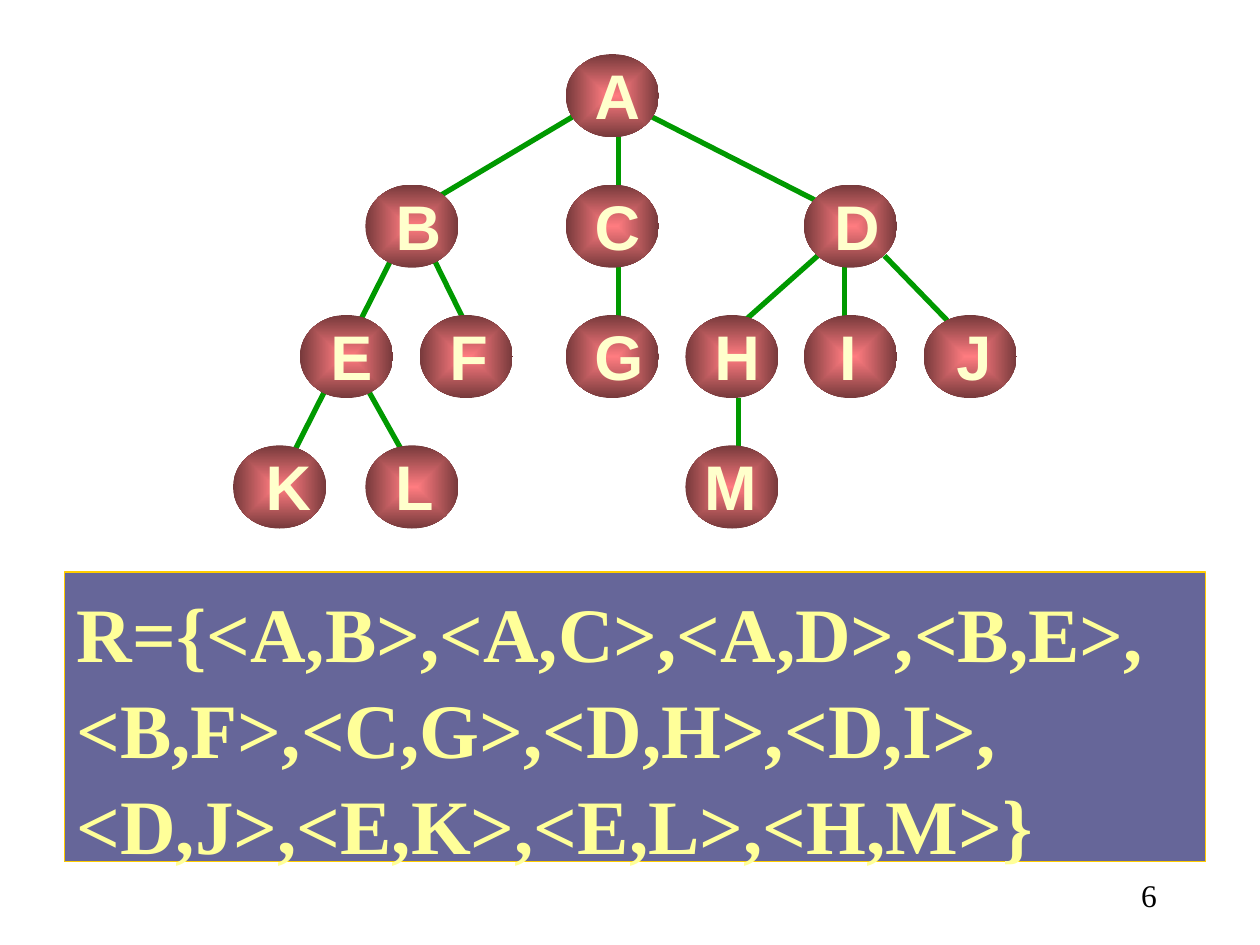
"""Build a slide showing a tree and its parent-child relation."""
from typing import NamedTuple

from lxml.etree import SubElement
from pptx import Presentation
from pptx.dml.color import RGBColor
from pptx.enum.shapes import MSO_CONNECTOR, MSO_SHAPE
from pptx.enum.text import MSO_ANCHOR, PP_ALIGN
from pptx.oxml.ns import qn
from pptx.slide import Slide
from pptx.text.text import TextFrame
from pptx.util import Inches, Pt

BLACK = RGBColor(0x00, 0x00, 0x00)
GREEN = RGBColor(0x00, 0x99, 0x00)
ROSE = RGBColor(0xFF, 0x7C, 0x80)
MAROON = RGBColor(0x76, 0x39, 0x3B)
CREAM = RGBColor(0xFF, 0xFF, 0xCC)
YELLOW = RGBColor(0xFF, 0xFF, 0x99)
SLATE = RGBColor(0x66, 0x66, 0x99)
GOLD = RGBColor(0xFF, 0xCC, 0x00)

NODE_WIDTH, NODE_HEIGHT = 0.74, 0.66
FIRST_LEVEL_TOP, LEVEL_STEP = 0.43, 1.035
LABEL_WIDTH, LABEL_HEIGHT, LABEL_RISE = 0.56, 0.7, 0.03


class Node(NamedTuple):
    letter: str
    level: int
    left: float
    label_shift: float = 0.04


class Branch(NamedTuple):
    start_x: float
    start_y: float
    end_x: float
    end_y: float


class TextStyle(NamedTuple):
    font: str
    size: int
    color: RGBColor
    bold: bool
    alignment: PP_ALIGN


NODE_STYLE = TextStyle("Arial", 36, CREAM, True, PP_ALIGN.CENTER)
RELATION_STYLE = TextStyle("Times New Roman", 44, YELLOW, True, PP_ALIGN.LEFT)
NUMBER_STYLE = TextStyle("Times New Roman", 18, BLACK, False, PP_ALIGN.RIGHT)

NODES = [
    Node("A", 0, 4.49),
    Node("B", 1, 2.9, 0.05),
    Node("C", 1, 4.49),
    Node("D", 1, 6.38, 0.05),
    Node("E", 2, 2.38),
    Node("F", 2, 3.33, 0.02),
    Node("G", 2, 4.49),
    Node("H", 2, 5.44),
    Node("I", 2, 6.38, -0.02),
    Node("J", 2, 7.33, 0.03),
    Node("K", 3, 1.85, 0.07),
    Node("L", 3, 2.9, 0.02),
    Node("M", 3, 5.44, -0.04),
]

BRANCHES = [
    Branch(7.02, 2.03, 7.65, 2.68),
    Branch(6.49, 2.03, 5.86, 2.59),
    Branch(6.7, 2.12, 6.7, 2.59),
    Branch(5.86, 3.16, 5.86, 3.72),
    Branch(5.12, 0.9, 6.59, 1.65),
    Branch(4.59, 0.9, 3.33, 1.65),
    Branch(4.91, 0.99, 4.91, 3.15),
    Branch(3.43, 2.03, 3.75, 2.68),
    Branch(2.9, 3.06, 3.22, 3.63),
    Branch(3.12, 2.03, 2.17, 3.91),
]

RELATION = """R={<A,B>,<A,C>,<A,D>,<B,E>,
<B,F>,<C,G>,<D,H>,<D,I>,
<D,J>,<E,K>,<E,L>,<H,M>}"""


def write_text(frame: TextFrame, text: str, style: TextStyle) -> None:
    frame.text = text
    for paragraph in frame.paragraphs:
        paragraph.alignment = style.alignment
        for run in paragraph.runs:
            run.font.name = style.font
            run.font.size = Pt(style.size)
            run.font.bold = style.bold
            run.font.color.rgb = style.color


def draw_relation(slide: Slide) -> None:
    box = slide.shapes.add_shape(
        MSO_SHAPE.RECTANGLE, Inches(0.51), Inches(4.54), Inches(9.06), Inches(2.3)
    )
    box.shadow.inherit = False
    box.fill.solid()
    box.fill.fore_color.rgb = SLATE
    box.line.color.rgb = GOLD
    box.line.width = Pt(0.75)
    frame = box.text_frame
    frame.word_wrap = True
    frame.vertical_anchor = MSO_ANCHOR.TOP
    frame.margin_top = Inches(0.08)
    write_text(frame, RELATION, RELATION_STYLE)
    for paragraph in frame.paragraphs:
        paragraph.line_spacing = 1.04


def draw_branch(slide: Slide, branch: Branch) -> None:
    line = slide.shapes.add_connector(
        MSO_CONNECTOR.STRAIGHT, *(Inches(value) for value in branch)
    )
    line.line.color.rgb = GREEN
    line.line.width = Pt(3)
    SubElement(line._element.spPr, qn("a:effectLst"))


def draw_node(slide: Slide, node: Node) -> None:
    top = FIRST_LEVEL_TOP + node.level * LEVEL_STEP
    oval = slide.shapes.add_shape(
        MSO_SHAPE.OVAL, Inches(node.left), Inches(top),
        Inches(NODE_WIDTH), Inches(NODE_HEIGHT),
    )
    oval.shadow.inherit = False
    oval.line.fill.background()
    oval.fill.gradient()
    for stop, color in zip(oval.fill.gradient_stops, (ROSE, MAROON)):
        stop.color.rgb = color
    gradient = oval._element.spPr.find(qn("a:gradFill"))
    gradient.remove(gradient.find(qn("a:lin")))
    shade = SubElement(gradient, qn("a:path"), path="rect")
    SubElement(shade, qn("a:fillToRect"), dict.fromkeys("ltrb", "50000"))


def draw_label(slide: Slide, node: Node) -> None:
    left = node.left + (NODE_WIDTH - LABEL_WIDTH) / 2 + node.label_shift
    top = FIRST_LEVEL_TOP + node.level * LEVEL_STEP - LABEL_RISE
    box = slide.shapes.add_textbox(
        Inches(left), Inches(top), Inches(LABEL_WIDTH), Inches(LABEL_HEIGHT)
    )
    box.text_frame.word_wrap = False
    box.text_frame.vertical_anchor = MSO_ANCHOR.MIDDLE
    write_text(box.text_frame, node.letter, NODE_STYLE)


def draw_page_number(slide: Slide) -> None:
    box = slide.shapes.add_textbox(Inches(7.2), Inches(6.9), Inches(2.08), Inches(0.5))
    box.text_frame.word_wrap = True
    write_text(box.text_frame, "6", NUMBER_STYLE)


def main() -> None:
    deck = Presentation()
    deck.slide_width, deck.slide_height = Inches(10), Inches(7.5)
    slide = deck.slides.add_slide(deck.slide_layouts.get_by_name("Blank"))
    draw_relation(slide)
    for branch in BRANCHES:
        draw_branch(slide, branch)
    for node in NODES:
        draw_node(slide, node)
    for node in NODES:
        draw_label(slide, node)
    draw_page_number(slide)
    deck.save("out.pptx")


if __name__ == "__main__":
    main()
